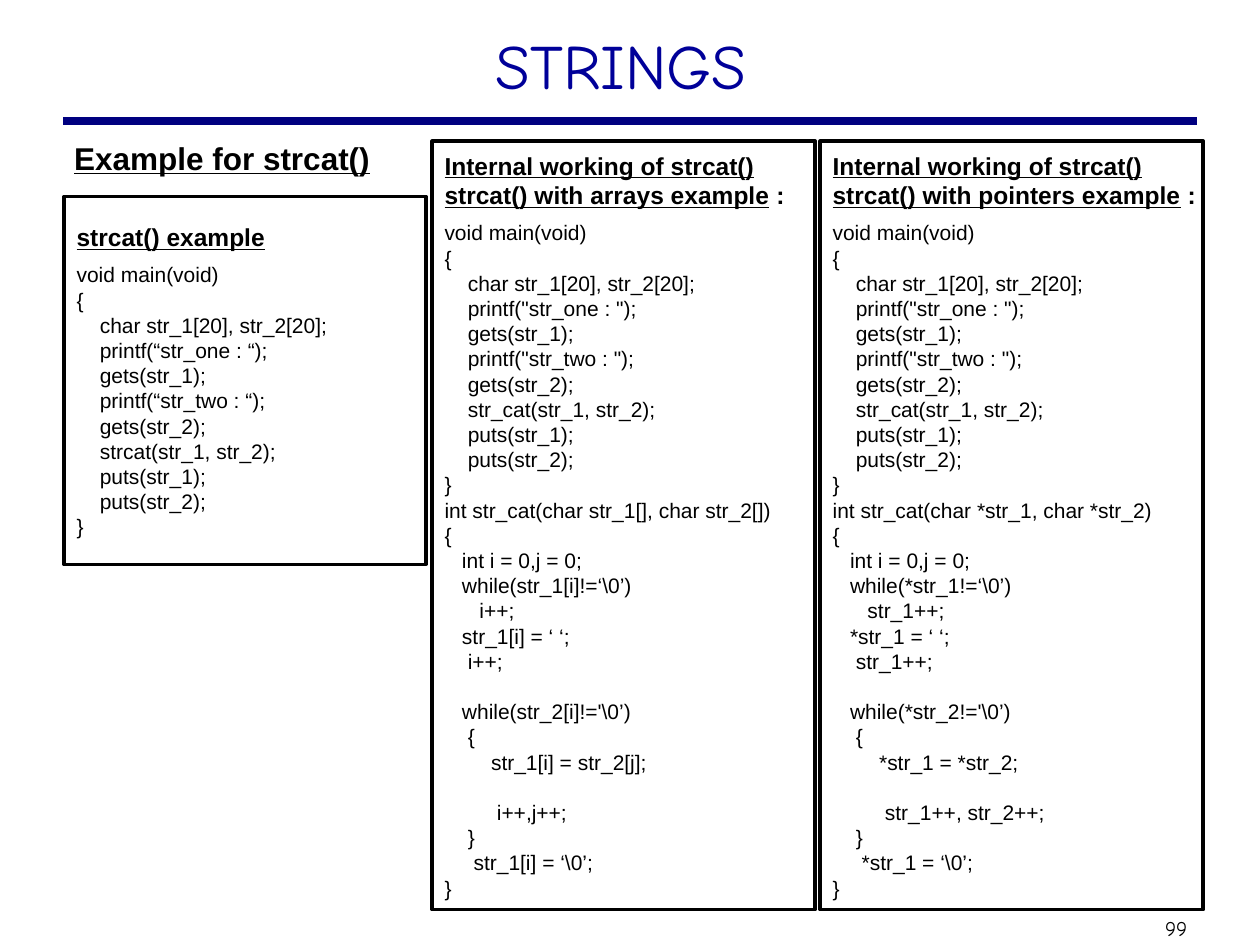
"""Build the slide on strcat() with its three code panels."""
import pptx
import pptx.dml.color
import pptx.enum.shapes
import pptx.enum.text
import pptx.util
from lxml import etree

Pt = pptx.util.Pt
RGB = pptx.dml.color.RGBColor
ALIGN = pptx.enum.text.PP_ALIGN
ANCHOR = pptx.enum.text.MSO_ANCHOR
BLACK = RGB(0, 0, 0)
NAVY = RGB(0, 0, 0x80)
BLUE = RGB(0, 0, 0x99)
WIDE, HIGH = pptx.util.Inches(10), pptx.util.Inches(7.5)
COLS, ROWS = 100, 75
LEAD = 1.2

PLAIN = {"name": "Arial", "size": Pt(12), "bold": False, "underline": False}
HEAD = {"name": "Arial", "size": Pt(14), "bold": True, "underline": True}
TOPIC = {**HEAD, "size": Pt(18)}
TITLE = {"name": "Comic Neue", "size": Pt(36)}
PAGE = {"name": "Comic Neue", "size": Pt(12)}

MAIN = """void main(void)
{
    char str_1[20], str_2[20];
    printf(<str_one : >);
    gets(str_1);
    printf(<str_two : >);
    gets(str_2);
    CALL(str_1, str_2);
    puts(str_1);
    puts(str_2);
}"""

ARRAYS = r"""
int str_cat(char str_1[], char str_2[])
{
   int i = 0,j = 0;
   while(str_1[i]!=‘\0’)
      i++;
   str_1[i] = ‘ ‘;
    i++;

   while(str_2[i]!='\0’)
    {
        str_1[i] = str_2[j];

         i++,j++;
    }
     str_1[i] = ‘\0’;
}"""

POINTERS = r"""
int str_cat(char *str_1, char *str_2)
{
   int i = 0,j = 0;
   while(*str_1!=‘\0’)
      str_1++;
   *str_1 = ‘ ‘;
    str_1++;

   while(*str_2!='\0’)
    {
        *str_1 = *str_2;

         str_1++, str_2++;
    }
     *str_1 = ‘\0’;
}"""


def place(col, row, cols, rows):
    """Turn grid cells into slide lengths."""
    return (round(col * WIDE / COLS), round(row * HIGH / ROWS),
            round(cols * WIDE / COLS), round(rows * HIGH / ROWS))


def style(font, look, color=BLACK):
    """Apply format values to a font."""
    for key, value in look.items():
        setattr(font, key, value)
    font.color.rgb = color


def write(para, text, look, color=BLACK, align=ALIGN.LEFT):
    """Write one styled run into a paragraph."""
    run = para.add_run()
    run.text = text
    style(run.font, look, color)
    para.alignment = align
    para.line_spacing = Pt(look["size"].pt * LEAD)


def label(slide, cells, text, look, color=BLACK, align=ALIGN.LEFT):
    """Add a text box holding one line."""
    frame = slide.shapes.add_textbox(*place(*cells)).text_frame
    frame.word_wrap = True
    frame.margin_top = frame.margin_bottom = 0
    write(frame.paragraphs[0], text, look, color, align)


def rule(slide, col, row, cols):
    """Draw the thick line below the title."""
    x, y, w, _ = place(col, row, cols, 0)
    kind = pptx.enum.shapes.MSO_CONNECTOR.STRAIGHT
    line = slide.shapes.add_connector(kind, x, y, x + w, y)
    line.line.color.rgb = NAVY
    line.line.width = Pt(4.5)
    tag = "{http://schemas.openxmlformats.org/drawingml/2006/main}effectLst"
    etree.SubElement(line._element.spPr, tag)


def panel(slide, cells, heads, code, tail=""):
    """Add a framed panel of headings and code."""
    kind = pptx.enum.shapes.MSO_SHAPE.RECTANGLE
    box = slide.shapes.add_shape(kind, *place(*cells))
    box.shadow.inherit = False
    box.fill.background()
    box.line.color.rgb = BLACK
    box.line.width = Pt(2)
    frame = box.text_frame
    frame.word_wrap = False
    frame.vertical_anchor = ANCHOR.MIDDLE
    para = frame.paragraphs[0]
    for head in heads:
        write(para, head, HEAD)
        last, para = para, frame.add_paragraph()
    if tail:
        write(last, tail, {**HEAD, "underline": False})
    gap = 5 * LEAD
    for text in code.split("\n"):
        if not text:
            gap = PLAIN["size"].pt * LEAD
            continue
        para = para or frame.add_paragraph()
        para.space_before = Pt(gap)
        write(para, text, PLAIN)
        para, gap = None, 0


def source(call, left, right):
    """Fill the main function with its call and quotes."""
    return MAIN.replace("CALL", call).replace("<", left).replace(">", right)


def main():
    """Build and save the slide."""
    deck = pptx.Presentation()
    deck.slide_width, deck.slide_height = WIDE, HIGH
    slide = deck.slides.add_slide(deck.slide_layouts[6])
    rule(slide, 5, 9.6, 90)
    label(slide, (91, 72.7, 4.7, 2), "99", PAGE, align=ALIGN.CENTER)
    label(slide, (6.8, 2.1, 85, 6.6), "STRINGS", TITLE, BLUE, ALIGN.CENTER)
    label(slide, (4.9, 11, 29, 3.5), "Example for strcat()", TOPIC)
    panel(slide, (5.1, 15.6, 28.7, 29.2), ["strcat() example"],
          source("strcat", "“", "“"))
    inner = source("str_cat", '"', '"')
    for step, (kind, body) in enumerate(
            [("arrays", ARRAYS), ("pointers", POINTERS)]):
        heads = ["Internal working of strcat()",
                 f"strcat() with {kind} example"]
        panel(slide, (34.3 + 30.8 * step, 11.2, 30.4, 61), heads,
              inner + body, " :")
    deck.save("out.pptx")


if __name__ == "__main__":
    main()
